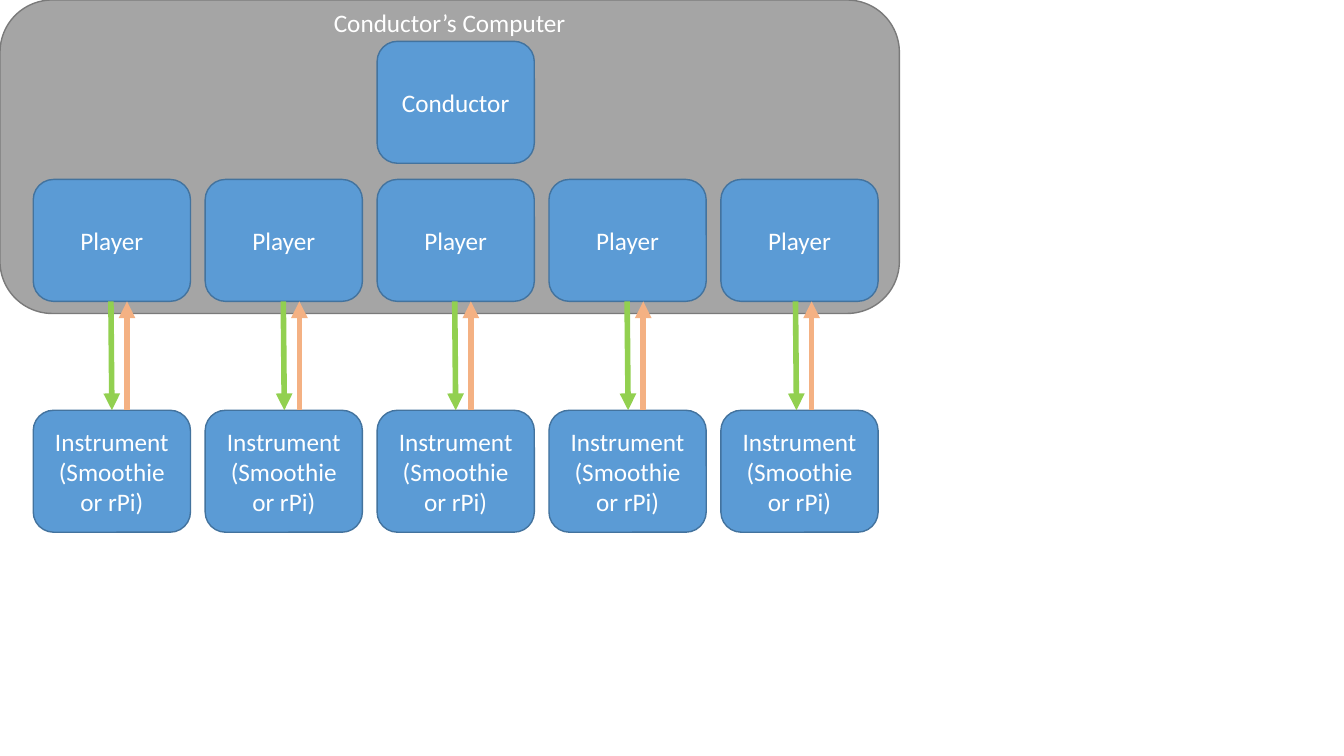
from pptx import Presentation
from pptx.dml.color import RGBColor
from pptx.enum.shapes import MSO_CONNECTOR, MSO_SHAPE
from pptx.enum.text import MSO_ANCHOR, PP_ALIGN
from pptx.oxml.ns import qn
from pptx.util import Inches, Pt
from lxml.etree import SubElement

WHITE = RGBColor(0xFF, 0xFF, 0xFF)
GRAY = RGBColor(0xA5, 0xA5, 0xA5)
GRAY_EDGE = RGBColor(0x7A, 0x7A, 0x7A)
BLUE = RGBColor(0x5B, 0x9B, 0xD5)
BLUE_EDGE = RGBColor(0x43, 0x73, 0x9E)
GREEN = RGBColor(0x92, 0xD0, 0x50)
ORANGE = RGBColor(0xF4, 0xB1, 0x83)

COMPUTER_WIDTH, COMPUTER_HEIGHT = 8.92, 3.11
BOX_WIDTH, BOX_HEIGHT = 1.56, 1.21
FIRST_LEFT, COLUMN_STEP = 0.33, 1.705
CONDUCTOR_TOP, PLAYER_TOP, INSTRUMENT_TOP = 0.41, 1.78, 4.07
PLAYER_BOTTOM = PLAYER_TOP + BOX_HEIGHT
MIDDLE_COLUMN = 2
COMMAND_STARTS = (1.1, 2.81, 4.51, 6.22, 7.89)
REPLY_OFFSET = 0.16


def write_text(shape, lines):
    """Write centred white paragraphs into a shape."""
    frame = shape.text_frame
    frame.word_wrap = True
    frame.vertical_anchor = MSO_ANCHOR.MIDDLE
    frame.text = "\n".join(lines)
    for paragraph in frame.paragraphs:
        paragraph.alignment = PP_ALIGN.CENTER
        paragraph.font.name = "Calibri"
        paragraph.font.size = Pt(18)
        paragraph.font.color.rgb = WHITE


def add_panel(slide, left, top, width, height, fill, edge):
    """Add a flat rounded rectangle and return it."""
    shape = slide.shapes.add_shape(
        MSO_SHAPE.ROUNDED_RECTANGLE,
        Inches(left), Inches(top), Inches(width), Inches(height))
    shape.shadow.inherit = False
    shape.fill.solid()
    shape.fill.fore_color.rgb = fill
    shape.line.color.rgb = edge
    shape.line.width = Pt(1)
    return shape


def add_box(slide, column, top, *lines):
    """Add a labelled blue box in a column of the grid."""
    left = FIRST_LEFT + column * COLUMN_STEP
    box = add_panel(slide, left, top, BOX_WIDTH, BOX_HEIGHT, BLUE, BLUE_EDGE)
    write_text(box, lines)


def add_arrow(slide, start, end, color):
    """Add a thick arrow between two points given in inches."""
    arrow = slide.shapes.add_connector(
        MSO_CONNECTOR.STRAIGHT, *map(Inches, start + end))
    arrow.line.color.rgb = color
    arrow.line.width = Pt(4)
    SubElement(arrow.line._get_or_add_ln(), qn("a:tailEnd"), type="triangle")
    SubElement(arrow._element.spPr, qn("a:effectLst"))


def add_computer(slide):
    """Add the conductor's computer with its heading."""
    add_panel(slide, 0, 0, COMPUTER_WIDTH, COMPUTER_HEIGHT, GRAY, GRAY_EDGE)
    heading = slide.shapes.add_textbox(
        0, Inches(0.02), Inches(COMPUTER_WIDTH), Inches(0.4))
    write_text(heading, ["Conductor’s Computer"])


def main():
    """Build the slide and save it."""
    presentation = Presentation()
    presentation.slide_width = Inches(13.33)
    presentation.slide_height = Inches(7.5)
    slide = presentation.slides.add_slide(presentation.slide_layouts[6])

    add_computer(slide)
    add_box(slide, MIDDLE_COLUMN, CONDUCTOR_TOP, "Conductor")
    for column in range(len(COMMAND_STARTS)):
        add_box(slide, column, PLAYER_TOP, "Player")
        add_box(slide, column, INSTRUMENT_TOP,
                "Instrument", "(Smoothie or rPi)")
    for x in COMMAND_STARTS:
        add_arrow(slide, (x, PLAYER_BOTTOM), (x + 0.01, INSTRUMENT_TOP), GREEN)
    for x in COMMAND_STARTS:
        reply_x = x + REPLY_OFFSET
        add_arrow(slide, (reply_x, INSTRUMENT_TOP), (reply_x, PLAYER_BOTTOM),
                  ORANGE)

    presentation.save("out.pptx")


main()
